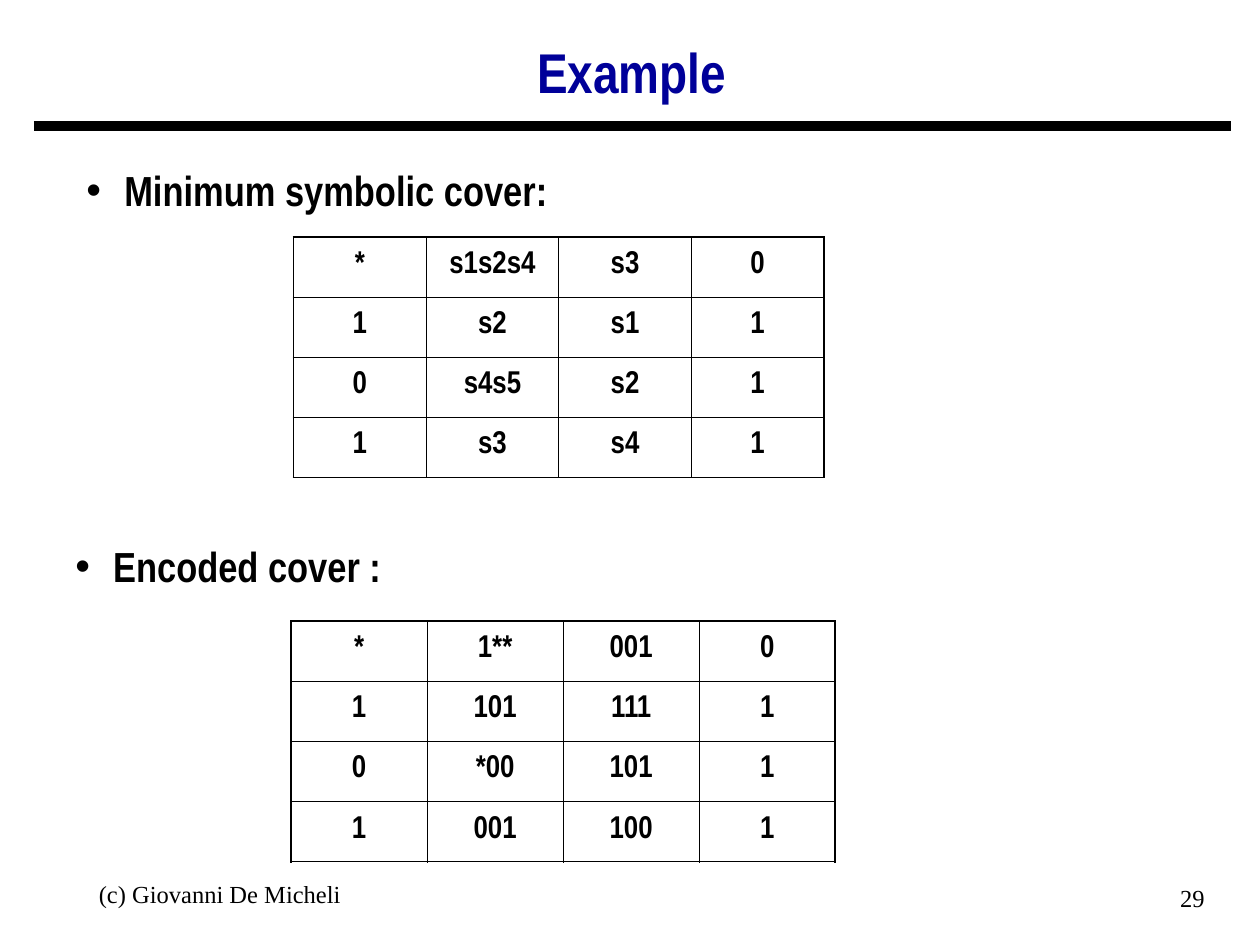
from lxml import etree
from pptx import Presentation
from pptx.dml.color import RGBColor
from pptx.enum.shapes import MSO_CONNECTOR
from pptx.enum.text import MSO_ANCHOR, PP_ALIGN
from pptx.oxml.ns import qn
from pptx.util import Inches, Pt

STRAIGHT = MSO_CONNECTOR.STRAIGHT
MIDDLE = MSO_ANCHOR.MIDDLE
LEFT, CENTER, RIGHT = PP_ALIGN.LEFT, PP_ALIGN.CENTER, PP_ALIGN.RIGHT

COLORS = {"title": "000099", "ink": "000000"}
HEADING_FONT = "Arial Narrow"
FOOTER_FONT = "Times New Roman"
OUTER_BORDER, INNER_BORDER = Pt(1.08), Pt(0.45)

SYMBOLIC_COVER = [
    ["*", "s1s2s4", "s3", "0"],
    ["1", "s2", "s1", "1"],
    ["0", "s4s5", "s2", "1"],
    ["1", "s3", "s4", "1"],
]
ENCODED_COVER = [
    ["*", "1**", "001", "0"],
    ["1", "101", "111", "1"],
    ["0", "*00", "101", "1"],
    ["1", "001", "100", "1"],
]


def style(paragraph, font_name, size, align, bold=False, color="ink"):
    """Set the font and alignment of one paragraph."""
    paragraph.alignment = align
    font = paragraph.font
    font.name, font.size, font.bold = font_name, Pt(size), bold
    font.color.rgb = RGBColor.from_string(COLORS[color])


def add_title(slide, text, box):
    """Place the slide title in its box."""
    title = slide.shapes.title
    title.left, title.top, title.width, title.height = map(Inches, box)
    title.text_frame.text = text
    title.text_frame.vertical_anchor = MIDDLE
    paragraph = title.text_frame.paragraphs[0]
    style(paragraph, HEADING_FONT, 32, CENTER, bold=True, color="title")
    paragraph.line_spacing = 0.9


def add_rule(slide, left, right, y):
    """Draw the thick line under the title."""
    rule = slide.shapes.add_connector(
        STRAIGHT, Inches(left), Inches(y), Inches(right), Inches(y))
    rule.line.width = Pt(6)
    rule.line.color.rgb = RGBColor.from_string(COLORS["ink"])
    etree.SubElement(rule._element.spPr, qn("a:effectLst"))


def add_text(slide, text, box):
    """Add a wrapping text box and return its paragraph."""
    frame = slide.shapes.add_textbox(*map(Inches, box)).text_frame
    frame.word_wrap = True
    frame.text = text
    return frame.paragraphs[0]


def set_indent(paragraph, margin, first_line):
    """Set the left margin and first-line indent."""
    properties = paragraph._p.get_or_add_pPr()
    properties.set("marL", str(Inches(margin)))
    properties.set("indent", str(Inches(first_line)))
    return properties


def add_bullet(slide, text, box, align):
    """Add a bulleted section heading."""
    paragraph = add_text(slide, text, box)
    style(paragraph, HEADING_FONT, 24, align, bold=True)
    paragraph.space_before = Pt(15)
    properties = set_indent(paragraph, 0.3, -0.3)
    bullet_color = etree.SubElement(properties, qn("a:buClr"))
    etree.SubElement(bullet_color, qn("a:srgbClr"), val=COLORS["ink"])
    etree.SubElement(properties, qn("a:buFont"), typeface="Arial")
    etree.SubElement(properties, qn("a:buChar"), char="•")


def set_borders(cell, outer_sides):
    """Draw all four cell borders, heavier on the outer sides."""
    properties = cell._tc.get_or_add_tcPr()
    for side, is_outer in outer_sides.items():
        width = OUTER_BORDER if is_outer else INNER_BORDER
        border = etree.SubElement(properties, qn(f"a:ln{side}"), w=str(width))
        fill = etree.SubElement(border, qn("a:solidFill"))
        etree.SubElement(fill, qn("a:srgbClr"), val=COLORS["ink"])


def add_cover_table(slide, cover, box):
    """Add a bordered table with equal rows and columns."""
    last_row, last_column = len(cover) - 1, len(cover[0]) - 1
    table = slide.shapes.add_table(
        len(cover), len(cover[0]), *map(Inches, box)).table
    table.first_row = table.horz_banding = False
    for r, values in enumerate(cover):
        for c, value in enumerate(values):
            cell = table.cell(r, c)
            cell.text = value
            set_borders(cell, {"L": c == 0, "R": c == last_column,
                               "T": r == 0, "B": r == last_row})
            cell.fill.background()
            paragraph = cell.text_frame.paragraphs[0]
            style(paragraph, HEADING_FONT, 18, CENTER, bold=True)
            paragraph.line_spacing = 1.25
            paragraph.space_before = Pt(6.8)


def add_footer(slide, text, box, align):
    """Add one footer entry."""
    paragraph = add_text(slide, text, box)
    style(paragraph, FOOTER_FONT, 14, align)
    set_indent(paragraph, 0.24, 0)


def main():
    """Build the slide and save it."""
    presentation = Presentation()
    presentation.slide_width, presentation.slide_height = Inches(10), Inches(7.5)
    slide = presentation.slides.add_slide(presentation.slide_layouts[5])
    add_rule(slide, 0.27, 9.77, 1)
    add_title(slide, "Example", (0.26, 0.22, 9.51, 0.75))
    add_bullet(slide, "Minimum symbolic cover:", (0.4, 1.26, 4.23, 0.5), CENTER)
    add_cover_table(slide, SYMBOLIC_COVER, (2.33, 1.88, 4.21, 1.91))
    add_bullet(slide, "Encoded cover :", (0.5, 4.24, 6.62, 0.5), LEFT)
    add_cover_table(slide, ENCODED_COVER, (2.31, 4.93, 4.32, 1.91))
    add_footer(slide, "(c) Giovanni De Micheli", (0.04, 6.93, 3.17, 0.52), CENTER)
    add_footer(slide, "29", (7.33, 6.96, 2.33, 0.52), RIGHT)
    presentation.save("out.pptx")


if __name__ == "__main__":
    main()
